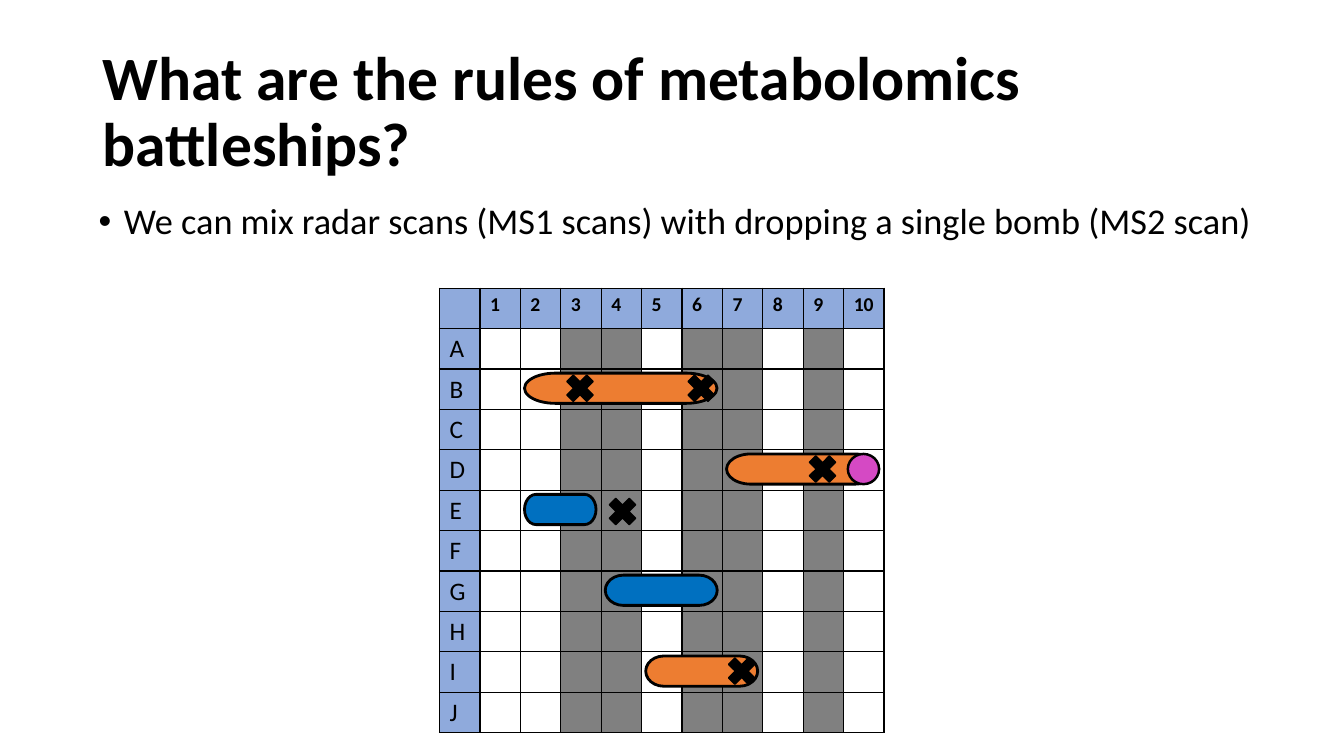
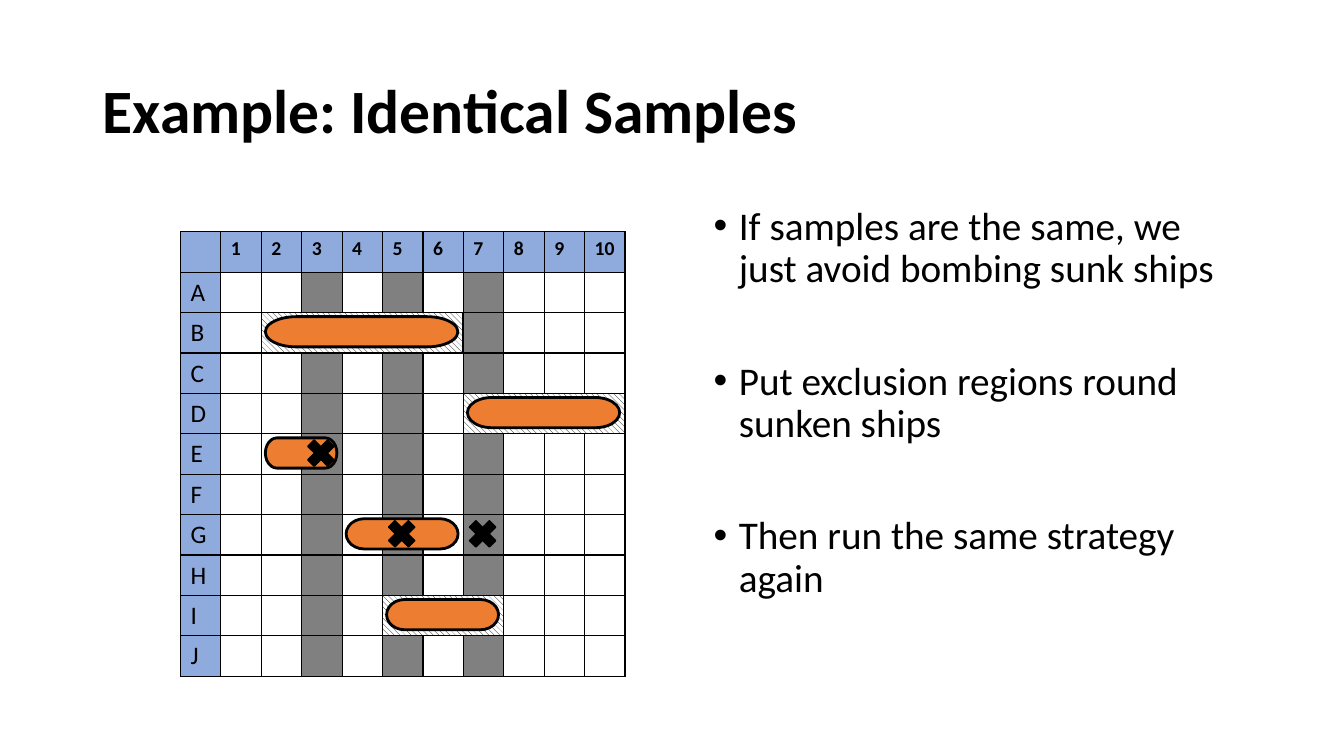
from lxml import etree
from pptx import Presentation
from pptx import util as u
from pptx.dml.color import RGBColor
from pptx.enum import dml, shapes, text
from pptx.oxml.ns import qn

PX = 9144  # EMU per px, 100 px to the inch
FONT = "Calibri"
BLACK = RGBColor(0x00, 0x00, 0x00)
WHITE = RGBColor(0xFF, 0xFF, 0xFF)
HEADER_BLUE = RGBColor(0x8F, 0xAA, 0xDC)
SCANNED_GREY = RGBColor(0x80, 0x80, 0x80)
ORANGE = RGBColor(0xED, 0x7D, 0x31)
BLUE = RGBColor(0x00, 0x70, 0xC0)
MAGENTA = RGBColor(0xD5, 0x49, 0xC4)

ROWS = "ABCDEFGHIJ"
GRID_SIZE = 441
LINES = len(ROWS) + 1  # header plus ten cells, both ways
INSET = 4              # gap between a cell edge and a ship
SHIP_HEIGHT = 30
MARK_SIZE = 38
INDENT = 25


def px(length):
    return u.Emu(round(length * PX))


class Deck:
    """Shared style, the current slide and its battleship grid."""

    def __init__(self):
        self.prs = Presentation()
        self.prs.slide_width, self.prs.slide_height = px(1333), px(750)

    def new_slide(self, title):
        self.slide = self.prs.slides.add_slide(self.prs.slide_layouts[6])
        frame = self.text_frame(92, 40, 1150, 145)
        frame.vertical_anchor = text.MSO_ANCHOR.MIDDLE
        self.set_words(frame.paragraphs[0], title, 44, bold=True)

    def text_frame(self, left, top, width, height):
        frame = self.slide.shapes.add_textbox(
            px(left), px(top), px(width), px(height)).text_frame
        frame.word_wrap = True
        return frame

    def set_words(self, paragraph, words, size, bold=False):
        paragraph.text = words
        paragraph.line_spacing = 0.9
        self.style_font(paragraph, size, bold)

    def style_font(self, paragraph, size, bold):
        font = paragraph.font
        font.name, font.size, font.bold = FONT, u.Pt(size), bold
        font.color.rgb = BLACK

    def bullets(self, left, top, width, height, points, size):
        frame = self.text_frame(left, top, width, height)
        for i, point in enumerate(points):
            paragraph = frame.add_paragraph() if i else frame.paragraphs[0]
            props = paragraph._p.get_or_add_pPr()
            props.set("marL", str(px(INDENT)))
            props.set("indent", str(-px(INDENT)))
            etree.SubElement(props, qn("a:buFont"), typeface="Arial")
            etree.SubElement(props, qn("a:buChar"), char="•")
            self.set_words(paragraph, point, size)
            if i:
                paragraph.space_before = u.Pt(50)

    # Grid
    def grid(self, left, top, scanned):
        self.left, self.top = left, top
        table = self.slide.shapes.add_table(
            LINES, LINES, px(left), px(top), px(GRID_SIZE), px(GRID_SIZE)).table
        table.first_row = table.horz_banding = False
        for column in table.columns:
            column.width = px(GRID_SIZE / LINES)
        for row in table.rows:
            row.height = px(GRID_SIZE / LINES)
        for row in range(LINES):
            for col in range(LINES):
                label, fill = "", WHITE
                if row == 0 or col == 0:
                    fill = HEADER_BLUE
                    if col:
                        label = str(col)
                    elif row:
                        label = ROWS[row - 1]
                elif col in scanned:
                    fill = SCANNED_GREY
                self.cell(table.cell(row, col), label, fill, row == 0)

    def cell(self, cell, label, fill, header):
        paragraph = cell.text_frame.paragraphs[0]
        paragraph.text = label
        self.style_font(paragraph, 14 if header else 18, header)
        props = cell._tc.get_or_add_tcPr()
        for side in ("lnL", "lnR", "lnT", "lnB"):
            border = etree.SubElement(props, qn("a:" + side), w=str(u.Pt(1)))
            solid = etree.SubElement(border, qn("a:solidFill"))
            etree.SubElement(solid, qn("a:srgbClr"), val=str(BLACK))
        cell.fill.solid()
        cell.fill.fore_color.rgb = fill

    # Pieces on the grid, placed by row letter and column number
    def piece(self, kind, row, col, inset, width, height, fill, line):
        pitch = GRID_SIZE / LINES
        left = self.left + col * pitch + inset
        top = self.top + (ROWS.index(row) + 1) * pitch + inset
        piece = self.slide.shapes.add_shape(
            kind, px(left), px(top), px(width), px(height))
        piece.shadow.inherit = False
        piece.line.color.rgb = BLACK
        piece.line.width = u.Pt(line)
        if fill:
            piece.fill.solid()
            piece.fill.fore_color.rgb = fill
        else:
            piece.fill.patterned()
            piece.fill.pattern = dml.MSO_PATTERN.WIDE_DOWNWARD_DIAGONAL
            piece.fill.fore_color.rgb = BLACK
            piece.fill.back_color.rgb = WHITE

    def ship(self, row, col, length, fill=ORANGE):
        self.piece(shapes.MSO_SHAPE.FLOWCHART_TERMINATOR, row, col, INSET,
                   40 * length - 9, SHIP_HEIGHT, fill, 2)

    def exclusion(self, row, col, length):
        self.piece(shapes.MSO_SHAPE.RECTANGLE, row, col, 0,
                   40 * length, 40, None, 1)

    def bomb(self, row, col):
        self.piece(shapes.MSO_SHAPE.OVAL, row, col, INSET,
                   31, SHIP_HEIGHT, MAGENTA, 1.75)

    def mark(self, row, col, nudge=0):
        self.piece(shapes.MSO_SHAPE.MATH_MULTIPLY, row, col, nudge,
                   MARK_SIZE, MARK_SIZE, BLACK, 1)


def rules_slide(deck):
    deck.new_slide("What are the rules of metabolomics battleships?")
    deck.bullets(88, 197, 1198, 67, [
        "We can mix radar scans (MS1 scans) with dropping a single bomb "
        "(MS2 scan)"], 25.9)
    deck.grid(436, 286, scanned=(3, 4, 6, 7, 9))
    for row, col, length, fill in (("B", 2, 5, ORANGE), ("D", 7, 4, ORANGE),
                                   ("E", 2, 2, BLUE), ("G", 4, 3, BLUE),
                                   ("I", 5, 3, ORANGE)):
        deck.ship(row, col, length, fill)
    deck.bomb("D", 10)
    for row, col in (("B", 3), ("B", 6), ("D", 9), ("I", 7)):
        deck.mark(row, col)
    deck.mark("E", 4, nudge=2)


def identical_samples_slide(deck):
    deck.new_slide("Example: Identical Samples")
    deck.bullets(698, 200, 544, 476, [
        "If samples are the same, we just avoid bombing sunk ships",
        "Put exclusion regions round sunken ships",
        "Then run the same strategy again"], 28)
    deck.grid(179, 230, scanned=(3, 5, 7))
    for sunk in (("B", 2, 5), ("D", 7, 4), ("I", 5, 3)):
        deck.exclusion(*sunk)
        deck.ship(*sunk)
    for afloat in (("E", 2, 2), ("G", 4, 3)):
        deck.ship(*afloat)
    for row, col in (("E", 3), ("G", 5), ("G", 7)):
        deck.mark(row, col)


def main():
    deck = Deck()
    rules_slide(deck)
    identical_samples_slide(deck)
    deck.prs.save("out.pptx")


if __name__ == "__main__":
    main()
